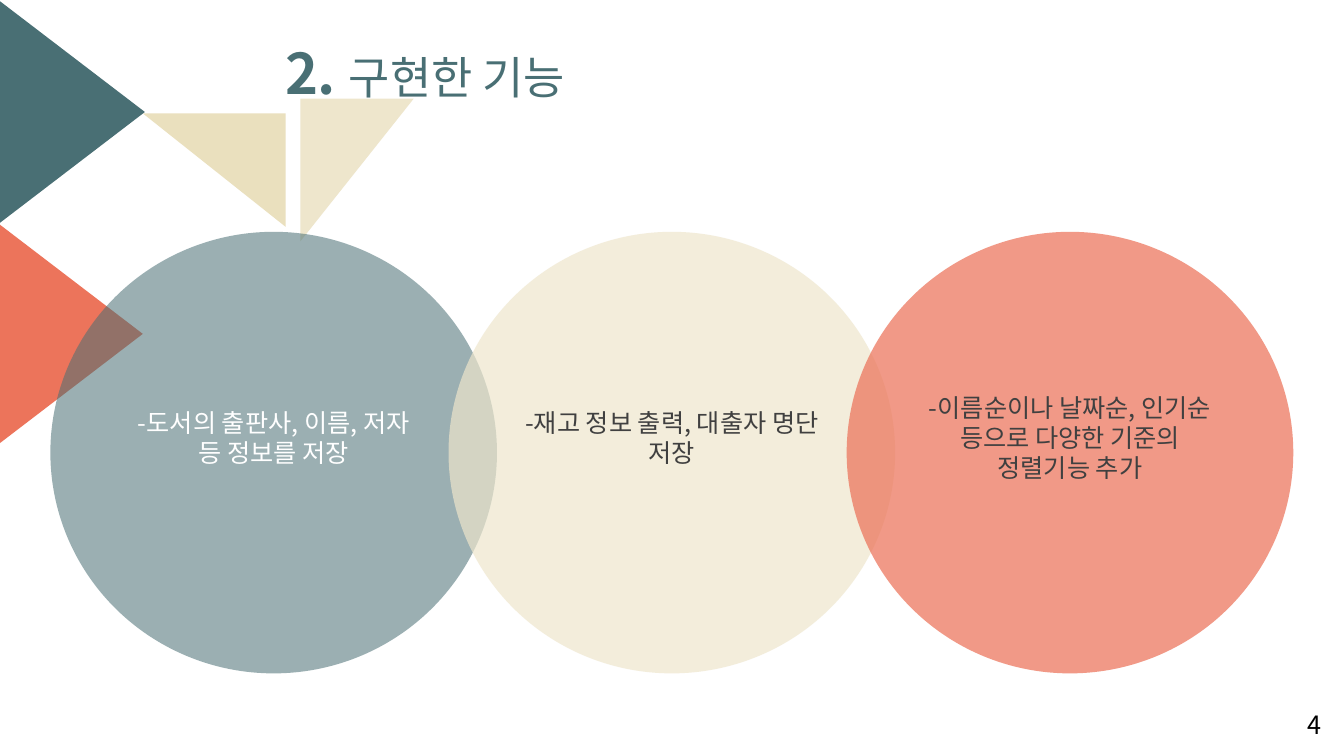
import pptx
import pptx.util
import pptx.dml.color
import pptx.enum.shapes
import pptx.enum.text
from pptx.oxml.ns import qn
from lxml import etree

Pt = pptx.util.Pt
SHAPE = pptx.enum.shapes.MSO_SHAPE
TEXT = pptx.enum.text
FONT = "Noto Sans CJK KR"
TEAL, CORAL, SAND, CREAM = "496F74", "EC745B", "EAE0BE", "EEE6CC"

TITLE = [("2. ", 40, True), ("구현한 기능", 32, False)]
PAGE_NUMBER = "4"
FEATURES = [
    ("-도서의 출판사, 이름, 저자 등 정보를 저장", TEAL, 55, "FFFFFF"),
    ("-재고 정보 출력, 대출자 명단 저장", CREAM, 69, "404040"),
    ("-이름순이나 날짜순, 인기순 등으로 다양한 기준의 정렬기능 추가", CORAL, 73, "404040"),
]
TRIANGLES = [
    (SHAPE.RIGHT_TRIANGLE, 102, 81, 102, 81, 180, SAND),
    (SHAPE.RIGHT_TRIANGLE, 204, 81, 102, 81, 90, CREAM),
    (SHAPE.ISOSCELES_TRIANGLE, -28, 28, 159, 104, 90, TEAL),
    (SHAPE.ISOSCELES_TRIANGLE, -29.5, 186.5, 159, 104, 90, CORAL),
]
CIRCLE_LEFT, CIRCLE_TOP, CIRCLE_PITCH = 36, 165.6, 284.4
CIRCLE_WIDTH, CIRCLE_HEIGHT = 319, 315.4
TEXT_LIFT = 25


def color(hex_value):
    return pptx.dml.color.RGBColor.from_string(hex_value)


def add_figure(kind, left, top, width, height, fill, opacity=100):
    figure = slide.shapes.add_shape(kind, Pt(left), Pt(top), Pt(width), Pt(height))
    figure.shadow.inherit = False
    figure.line.fill.background()
    figure.fill.solid()
    figure.fill.fore_color.rgb = color(fill)
    if opacity < 100:
        tint = figure.fill._xPr.find(qn("a:solidFill"))[0]
        etree.SubElement(tint, qn("a:alpha")).set("val", str(opacity * 1000))
    return figure


def add_label(left, top, width, height):
    frame = slide.shapes.add_textbox(Pt(left), Pt(top), Pt(width), Pt(height)).text_frame
    frame.word_wrap = True
    return frame.paragraphs[0]


def style(font, size, hex_value):
    font.name, font.size = FONT, Pt(size)
    font.color.rgb = color(hex_value)
    properties = font._element
    etree.SubElement(properties, qn("a:ea")).set("typeface", FONT)


deck = pptx.Presentation()
deck.slide_width, deck.slide_height = Pt(960), Pt(540)
slide = deck.slides.add_slide(deck.slide_layouts[6])

for kind, left, top, width, height, turn, fill in TRIANGLES:
    add_figure(kind, left, top, width, height, fill).rotation = turn

title = add_label(196.5, 24, 436, 42.5)
for words, size, bold in TITLE:
    part = title.add_run()
    part.text = words
    style(part.font, size, TEAL)
    part.font.bold = bold

page_number = add_label(926.6, 503.3, 33, 29)
page_number.text = PAGE_NUMBER
style(page_number.font, 18, "000000")

for index, (words, fill, opacity, ink) in enumerate(FEATURES):
    circle = add_figure(SHAPE.OVAL, CIRCLE_LEFT + index * CIRCLE_PITCH, CIRCLE_TOP,
                        CIRCLE_WIDTH, CIRCLE_HEIGHT, fill, opacity)
    frame = circle.text_frame
    frame.word_wrap = True
    frame.vertical_anchor = TEXT.MSO_ANCHOR.MIDDLE
    frame.margin_bottom = Pt(TEXT_LIFT)
    feature = frame.paragraphs[0]
    feature.text = words
    feature.alignment = TEXT.PP_ALIGN.CENTER
    style(feature.font, 18, ink)

deck.save("out.pptx")
